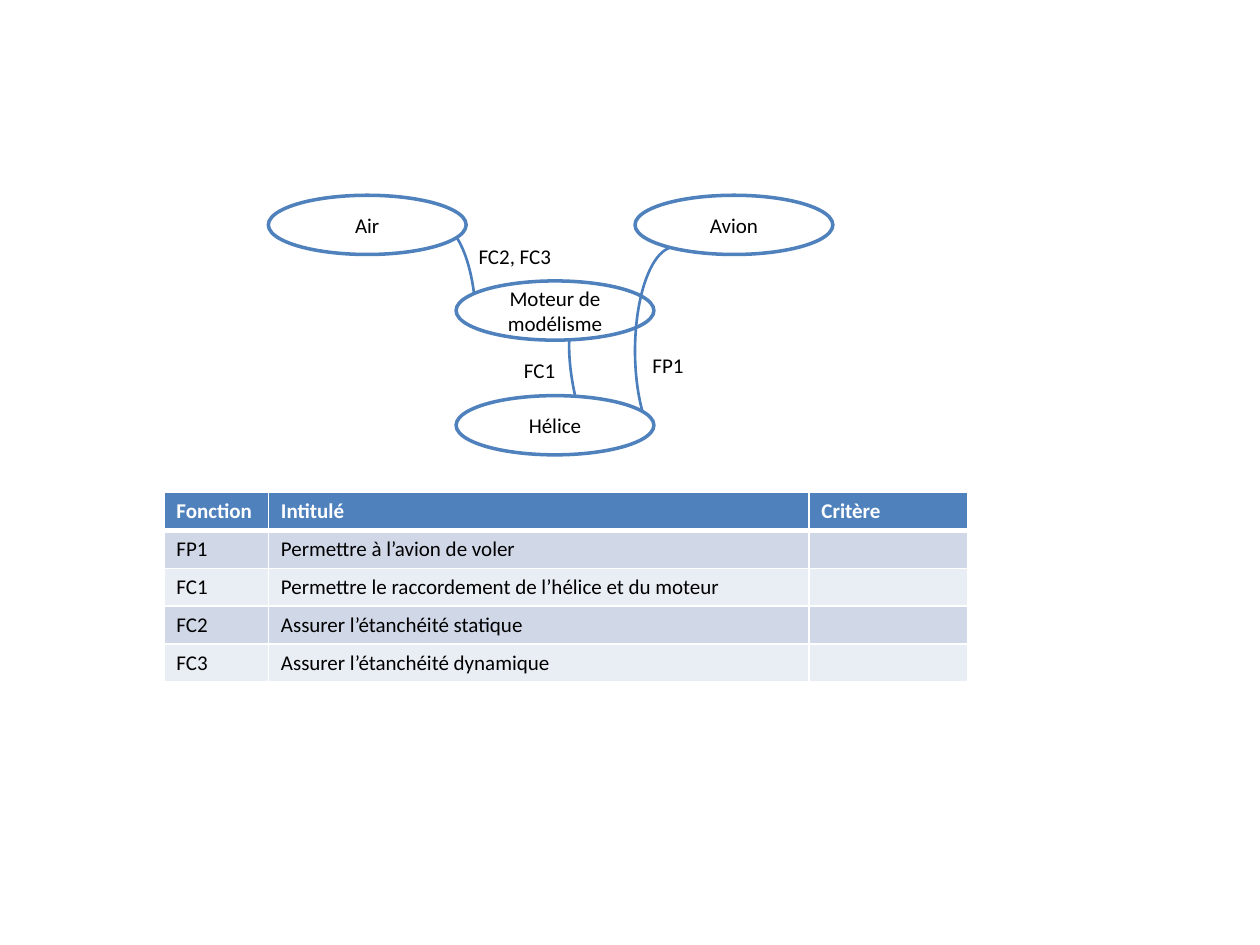
from lxml import etree
from pptx import Presentation
from pptx import util as u
from pptx.dml.color import RGBColor
from pptx.enum import shapes, text
from pptx.oxml import ns

BLUE = RGBColor(0x4F, 0x81, 0xBD)
ARC_BLUE = RGBColor(0x4B, 0x7E, 0xBC)
WHITE = RGBColor(0xFF, 0xFF, 0xFF)
BLACK = RGBColor(0x00, 0x00, 0x00)
BAND_DARK = RGBColor(0xD0, 0xD8, 0xE8)
BAND_LIGHT = RGBColor(0xE9, 0xED, 0xF4)


class Diagram:
    font = {"name": "Calibri", "size": u.Pt(12), "bold": False}

    def __init__(self, slide):
        self.s = slide

    def add_words(self, p, words, color=BLACK, **changes):
        if not words:
            p._p.get_or_add_endParaRPr().set("sz", "1200")
            return
        r = p.add_run()
        r.text = words
        for key, value in {**self.font, **changes}.items():
            setattr(r.font, key, value)
        r.font.color.rgb = color

    def outline(self, kind, box, color, width):
        sp = self.s.shapes.add_shape(kind, *map(u.Inches, box))
        sp.shadow.inherit = False
        sp.line.color.rgb = color
        sp.line.width = u.Pt(width)
        return sp

    def arc(self, left, top, start, end, rotation=0):
        sp = self.outline(shapes.MSO_SHAPE.ARC, (left, top, 0.63, 1.65), ARC_BLUE, 1.5)
        sp.fill.background()
        sp.adjustments[0], sp.adjustments[1] = start, end
        sp.rotation = rotation
        sp._element.spPr.xfrm.set("flipH", "1")

    def ellipse(self, left, top, words):
        sp = self.outline(shapes.MSO_SHAPE.OVAL, (left, top, 1.57, 0.47), BLUE, 2)
        sp.fill.solid()
        sp.fill.fore_color.rgb = WHITE
        tf = sp.text_frame
        tf.word_wrap = True
        tf.vertical_anchor = text.MSO_ANCHOR.MIDDLE
        p = tf.paragraphs[0]
        p.alignment = text.PP_ALIGN.CENTER
        self.add_words(p, words)

    def label(self, left, top, width, words):
        sp = self.s.shapes.add_textbox(*map(u.Inches, (left, top, width, 0.3)))
        tf = sp.text_frame
        tf.word_wrap = True
        tf.auto_size = text.MSO_AUTO_SIZE.SHAPE_TO_FIT_TEXT
        self.add_words(tf.paragraphs[0], words)

    def borders(self, cell, bottom):
        tcPr = cell._tc.get_or_add_tcPr()
        for side, width in (("L", 1), ("R", 1), ("T", 1), ("B", bottom)):
            ln = etree.SubElement(tcPr, ns.qn(f"a:ln{side}"), w=str(u.Pt(width)))
            fill = etree.SubElement(ln, ns.qn("a:solidFill"))
            etree.SubElement(fill, ns.qn("a:srgbClr"), val=str(WHITE))

    def table(self, left, top, widths, row_height, rows):
        box = (left, top, sum(widths), row_height * len(rows))
        table = self.s.shapes.add_table(len(rows), len(widths), *map(u.Inches, box)).table
        for column, width in zip(table.columns, widths):
            column.width = u.Inches(width)
        for i, row in enumerate(rows):
            table.rows[i].height = u.Inches(row_height)
            header = i == 0
            fill = BLUE if header else (BAND_LIGHT, BAND_DARK)[i % 2]
            for j, words in enumerate(row):
                cell = table.cell(i, j)
                self.borders(cell, 3 if header else 1)
                cell.fill.solid()
                cell.fill.fore_color.rgb = fill
                self.add_words(cell.text_frame.paragraphs[0], words,
                               WHITE if header else BLACK, bold=header)


def main():
    prs = Presentation()
    prs.slide_width, prs.slide_height = u.Inches(10), u.Inches(7.5)
    d = Diagram(prs.slides.add_slide(prs.slide_layouts[6]))

    d.arc(4.57, 2.3, 162, 0.64, rotation=345.6)
    d.arc(3.15, 1.77, 117.08, 162.9)
    d.ellipse(3.62, 2.23, "Moteur de modélisme")
    d.ellipse(2.13, 1.55, "Air")
    d.arc(5.04, 1.96, 162, 43.05)
    d.ellipse(5.04, 1.55, "Avion")
    d.ellipse(3.62, 3.14, "Hélice")

    d.label(5.08, 2.75, 0.87, "FP1")
    d.label(4.06, 2.79, 0.98, "FC1")
    d.label(3.7, 1.88, 0.87, "FC2, FC3")

    d.table(1.3, 3.91, (0.83, 4.29, 1.26), 0.3, [
        ("Fonction", "Intitulé", "Critère"),
        ("FP1", "Permettre à l’avion de voler", ""),
        ("FC1", "Permettre le raccordement de l’hélice et du moteur", ""),
        ("FC2", "Assurer l’étanchéité statique", ""),
        ("FC3", "Assurer l’étanchéité dynamique", ""),
    ])
    prs.save("out.pptx")


if __name__ == "__main__":
    main()
